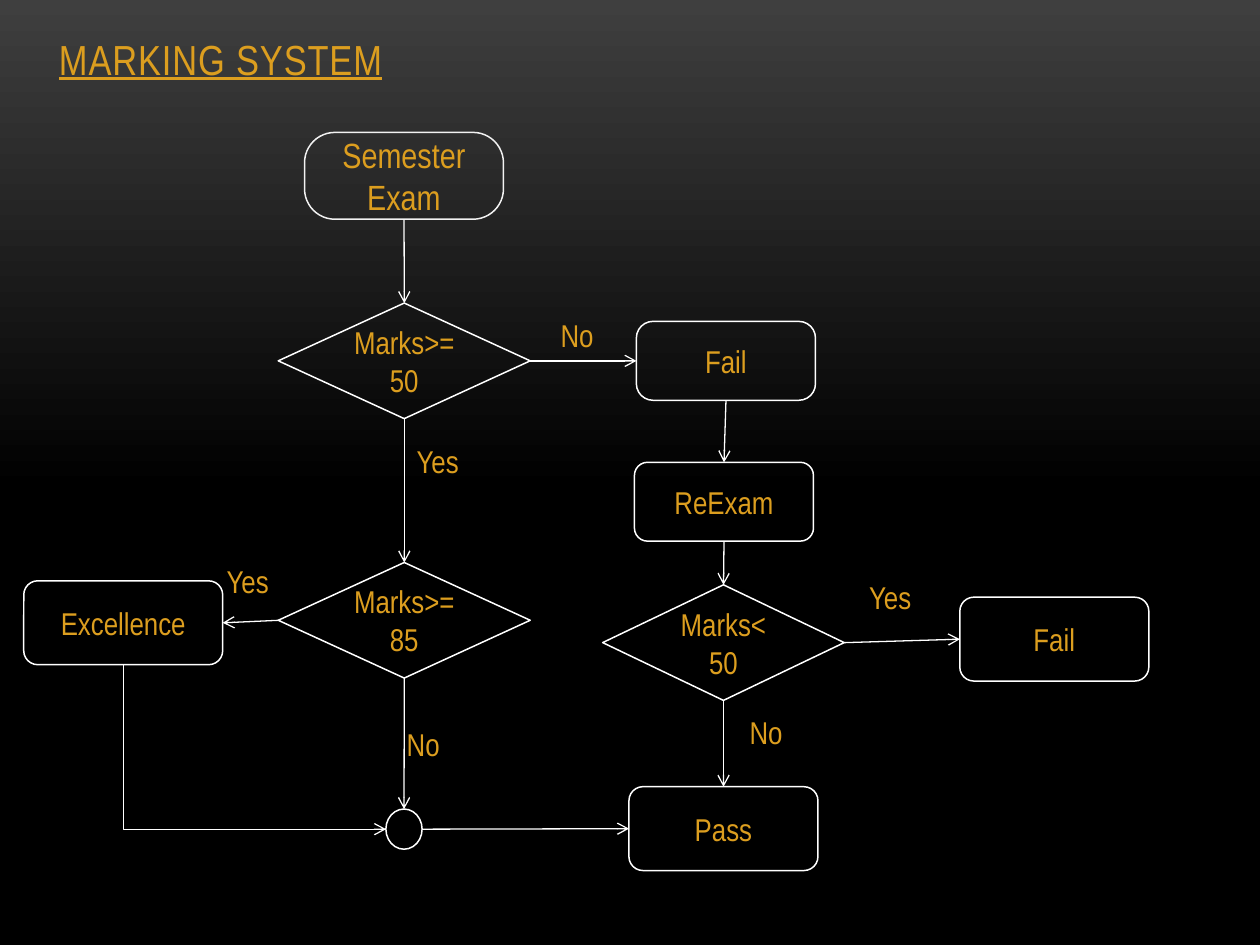
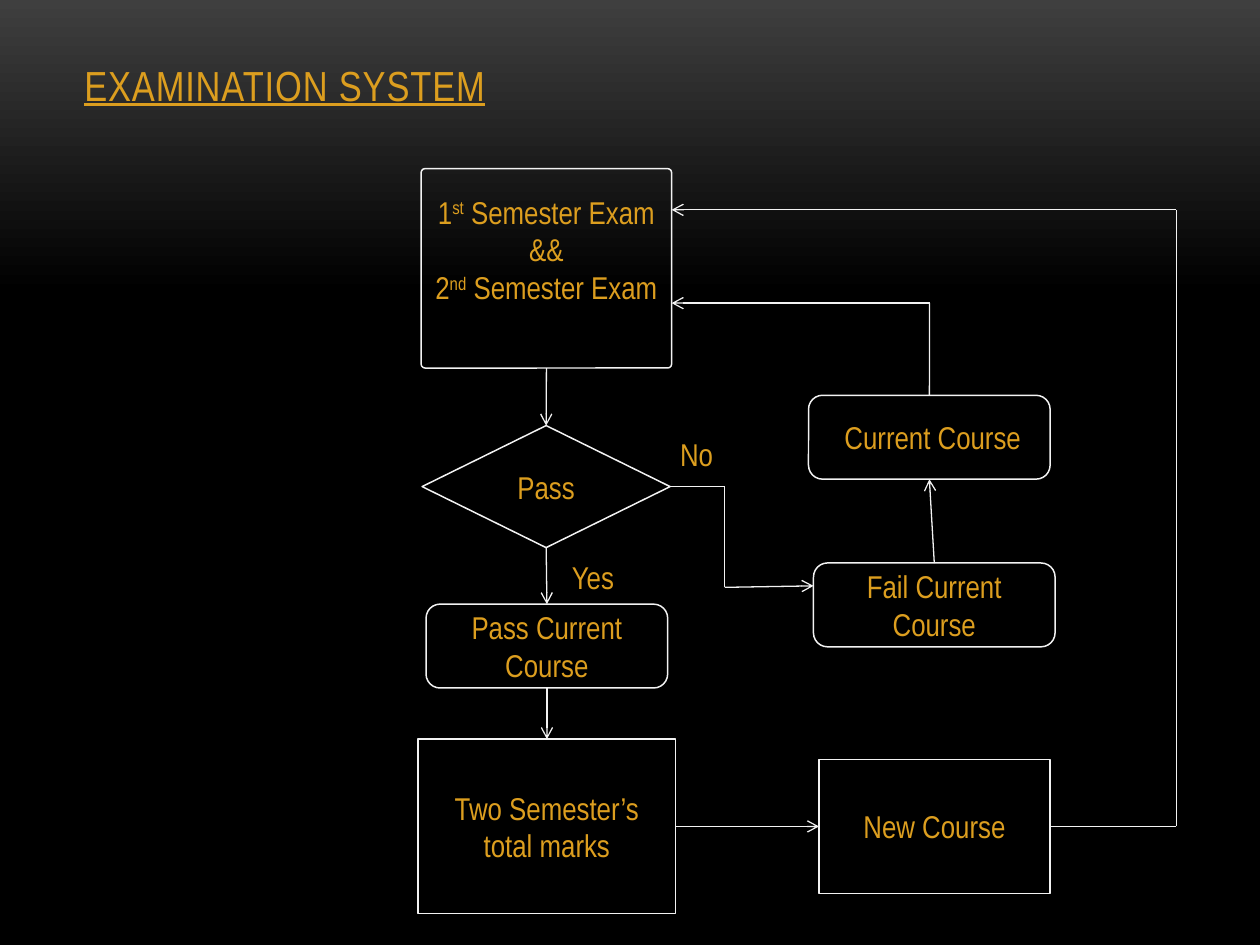
"""Build two flowchart slides about a marking and an examination system."""
from copy import deepcopy
from dataclasses import dataclass
from itertools import pairwise

from lxml import etree
from pptx import Presentation
from pptx.dml.color import RGBColor
from pptx.enum.shapes import MSO_CONNECTOR, MSO_SHAPE
from pptx.enum.text import MSO_ANCHOR, PP_ALIGN
from pptx.oxml.ns import qn
from pptx.util import Cm, Pt

ROUNDED = MSO_SHAPE.ROUNDED_RECTANGLE
RECTANGLE = MSO_SHAPE.RECTANGLE
DECISION = MSO_SHAPE.FLOWCHART_DECISION
JUNCTION = MSO_SHAPE.FLOWCHART_CONNECTOR
STRAIGHT, ELBOW = MSO_CONNECTOR.STRAIGHT, MSO_CONNECTOR.ELBOW
CENTER, LEFT_ALIGNED = PP_ALIGN.CENTER, PP_ALIGN.LEFT
MIDDLE, BOTTOM_ANCHOR, TOP_ANCHOR = MSO_ANCHOR.MIDDLE, MSO_ANCHOR.BOTTOM, MSO_ANCHOR.TOP
TOP, LEFT, BOTTOM, RIGHT = range(4)


@dataclass(frozen=True)
class Theme:
    """Colours, font and sizes shared by the slides."""
    font: str = "Arial Narrow"
    gold: RGBColor = RGBColor(0xDC, 0x9E, 0x1F)
    white: RGBColor = RGBColor(0xFF, 0xFF, 0xFF)
    off_white: RGBColor = RGBColor(0xF2, 0xF2, 0xF2)
    charcoal: RGBColor = RGBColor(0x3F, 0x3F, 0x3F)
    black: RGBColor = RGBColor(0, 0, 0)
    title_size: float = 24
    start_size: float = 20
    body_size: float = 18
    outline: float = 0.85
    arrow: float = 0.75


THEME = Theme()


@dataclass(frozen=True)
class Port:
    """The middle of one side of a flowchart node."""
    node: object
    side: int


def locate(end):
    """Return the position of a port, or of a point given in centimetres."""
    if not isinstance(end, Port):
        return Cm(end[0]), Cm(end[1])
    node = end.node
    across, down = {TOP: (0.5, 0), LEFT: (0, 0.5), BOTTOM: (0.5, 1), RIGHT: (1, 0.5)}[end.side]
    return int(node.left + node.width * across), int(node.top + node.height * down)


def add_run(paragraph, text, size):
    """Add one gold run to a paragraph and return it."""
    run = paragraph.add_run()
    run.text = text
    run.font.name = THEME.font
    run.font.size = Pt(size)
    run.font.color.rgb = THEME.gold
    return run


def write(frame, lines, size=THEME.body_size, align=CENTER, anchor=MIDDLE):
    """Fill a frame with lines, each a string or a list of (text, raised) pairs."""
    frame.word_wrap = True
    frame.vertical_anchor = anchor
    for number, line in enumerate(lines):
        paragraph = frame.add_paragraph() if number else frame.paragraphs[0]
        paragraph.alignment = align
        for text, raised in [(line, False)] if isinstance(line, str) else line:
            run = add_run(paragraph, text, size)
            if raised:
                run.font._element.set("baseline", "30000")


def add_text(slide, box, text, **style):
    """Add a left-aligned text box and return its frame."""
    frame = slide.shapes.add_textbox(*map(Cm, box)).text_frame
    write(frame, [text], align=LEFT_ALIGNED, **style)
    return frame


def add_title(slide, left, top, height, text):
    """Add the underlined, slightly spaced slide title."""
    frame = add_text(slide, (left, top, 22.86, height), text,
                     size=THEME.title_size, anchor=BOTTOM_ANCHOR)
    font = frame.paragraphs[0].runs[0].font
    font.underline = True
    font._element.set("spc", "50")


def add_label(slide, left, top, text):
    """Add the answer beside a branch."""
    add_text(slide, (left, top, 1.7, 1.02), text, anchor=TOP_ANCHOR)


def add_node(slide, color, kind, box, *lines, size=THEME.body_size, corner=None):
    """Add an outlined flowchart node and return it."""
    node = slide.shapes.add_shape(kind, *map(Cm, box))
    node.shadow.inherit = False
    node.fill.background()
    node.line.color.rgb = color
    node.line.width = Pt(THEME.outline)
    if corner is not None:
        node.adjustments[0] = corner
    write(node.text_frame, lines, size)
    return node


def style_line(connector, color, arrow):
    """Colour a connector, drop its shadow and add an arrowhead if wanted."""
    connector.line.color.rgb = color
    connector.line.width = Pt(THEME.arrow)
    if arrow:
        etree.SubElement(connector.line._get_or_add_ln(), qn("a:tailEnd"), type="arrow")
    etree.SubElement(connector._element.spPr, qn("a:effectLst"))


def add_route(slide, color, *stops):
    """Join ports and points by straight lines, with an arrow on the last."""
    for start, end in pairwise(stops):
        connector = slide.shapes.add_connector(STRAIGHT, *locate(start), *locate(end))
        for stop, join in ((start, connector.begin_connect), (end, connector.end_connect)):
            if not isinstance(stop, Port):
                continue
            if stop.node.auto_shape_type != JUNCTION or stop.side == TOP:
                join(stop.node, stop.side)
        style_line(connector, color, end is stops[-1])


def add_elbow(slide, color, start, end):
    """Add an arrow that runs down from start, then right to end."""
    (start_x, start_y), (end_x, end_y) = locate(start), locate(end)
    run, drop = end_x - start_x, end_y - start_y
    left = (start_x + end_x - drop) // 2
    top = (start_y + end_y - run) // 2
    elbow = slide.shapes.add_connector(ELBOW, left + drop, top, left, top + run)
    properties = elbow._element.spPr
    properties.find(qn("a:xfrm")).set("rot", "16200000")
    properties.find(qn("a:prstGeom")).set("prst", "bentConnector2")
    style_line(elbow, color, True)


def add_slide(deck, fade_end):
    """Add a blank slide that fades from charcoal to black."""
    slide = deck.slides.add_slide(deck.slide_layouts[6])
    fill = slide.background.fill
    fill.gradient()
    fill.gradient_angle = 270
    stop_list = slide._element.find(".//" + qn("a:gsLst"))
    stop_list.append(deepcopy(stop_list[-1]))
    fade = ((0, THEME.charcoal), (fade_end, THEME.black), (1, THEME.black))
    for stop, (position, color) in zip(fill.gradient_stops, fade):
        stop.position = position
        stop.color.rgb = color
    return slide


def build_marking(deck):
    """Build the marking system flowchart."""
    slide, color = add_slide(deck, 0.52), THEME.white
    add_title(slide, 0.94, -0.3, 2.11, "MARKING SYSTEM")

    exam = add_node(slide, THEME.off_white, ROUNDED, (6.14, 2.67, 4.01, 1.75),
                    "Semester", "Exam", size=THEME.start_size, corner=0.35)
    passed, excelled = [
        add_node(slide, color, DECISION, (5.61, top, 5.08, 2.33), text)
        for top, text in ((6.11, "Marks>=50"), (11.34, "Marks>=85"))]
    failed = add_node(slide, color, ROUNDED, (12.83, 6.48, 3.61, 1.59), "Fail", corner=0.21)
    retake = add_node(slide, color, ROUNDED, (12.79, 9.32, 3.61, 1.59), "ReExam")
    retake_failed = add_node(slide, color, DECISION, (12.15, 11.79, 4.87, 2.33), "Marks<50")
    excellence = add_node(slide, color, ROUNDED, (0.48, 11.71, 4.01, 1.69), "Excellence")
    final_pass = add_node(slide, color, ROUNDED, (12.68, 15.86, 3.81, 1.69), "Pass")
    final_fail = add_node(slide, color, ROUNDED, (19.35, 12.04, 3.81, 1.69), "Fail")
    merge = add_node(slide, color, JUNCTION, (7.78, 16.31, 0.73, 0.81))

    for chain in ((exam, passed, excelled, merge),
                  (failed, retake, retake_failed, final_pass)):
        for upper, lower in pairwise(chain):
            add_route(slide, color, Port(upper, BOTTOM), Port(lower, TOP))
    for source, target in ((passed, failed), (retake_failed, final_fail), (merge, final_pass)):
        add_route(slide, color, Port(source, RIGHT), Port(target, LEFT))
    add_route(slide, color, Port(excelled, LEFT), Port(excellence, RIGHT))
    add_elbow(slide, color, Port(excellence, BOTTOM), Port(merge, LEFT))

    for left, top, answer in ((11.05, 6.25, "No"), (8.15, 8.79, "Yes"), (17.27, 11.53, "Yes"),
                              (14.86, 14.25, "No"), (4.32, 11.2, "Yes"), (7.95, 14.5, "No")):
        add_label(slide, left, top, answer)


def build_examination(deck):
    """Build the examination system flowchart."""
    slide, color = add_slide(deck, 0.31), THEME.off_white
    add_title(slide, 1.45, 0, 2.34, "EXAMINATION SYSTEM")

    exams = add_node(slide, color, ROUNDED, (8.49, 3.4, 5.05, 4.02),
                     [("1", False), ("st", True), (" Semester Exam", False)], "&&",
                     [("2", False), ("nd", True), (" Semester Exam", False)], corner=0.02)
    exams.text_frame.margin_bottom = Cm(0.89)
    passed = add_node(slide, color, DECISION, (8.51, 8.58, 5, 2.46), "Pass")
    pass_course, fail_course, current_course = [
        add_node(slide, color, ROUNDED, (left, top, 4.87, 1.69), text)
        for left, top, text in ((8.59, 12.18, "Pass Current Course"),
                                (16.4, 11.35, "Fail Current Course"),
                                (16.3, 7.97, "Current Course"))]
    current_course.text_frame.margin_left = Cm(0.39)
    total = add_node(slide, color, RECTANGLE, (8.43, 14.9, 5.19, 3.52),
                     "Two Semester’s total marks")
    new_course = add_node(slide, color, RECTANGLE, (16.51, 15.31, 4.66, 2.7), "New Course")

    for upper, lower in pairwise((exams, passed, pass_course, total)):
        add_route(slide, color, Port(upper, BOTTOM), Port(lower, TOP))
    add_route(slide, color, Port(total, RIGHT), Port(new_course, LEFT))
    add_route(slide, color, Port(fail_course, TOP), Port(current_course, BOTTOM))
    add_route(slide, color, Port(passed, RIGHT), (14.61, 9.81), (14.61, 11.84), (16.4, 11.81))
    add_route(slide, color, Port(current_course, TOP), (18.74, 6.11), (13.54, 6.11))
    add_route(slide, color, Port(new_course, RIGHT), (23.71, 16.66), (23.71, 4.23), (13.54, 4.23))

    add_label(slide, 11.28, 11.13, "Yes")
    add_label(slide, 13.46, 8.64, "No")


def main():
    """Build and save the deck."""
    deck = Presentation()
    deck.slide_width, deck.slide_height = Cm(25.4), Cm(19.05)
    build_marking(deck)
    build_examination(deck)
    deck.save("out.pptx")


if __name__ == "__main__":
    main()
